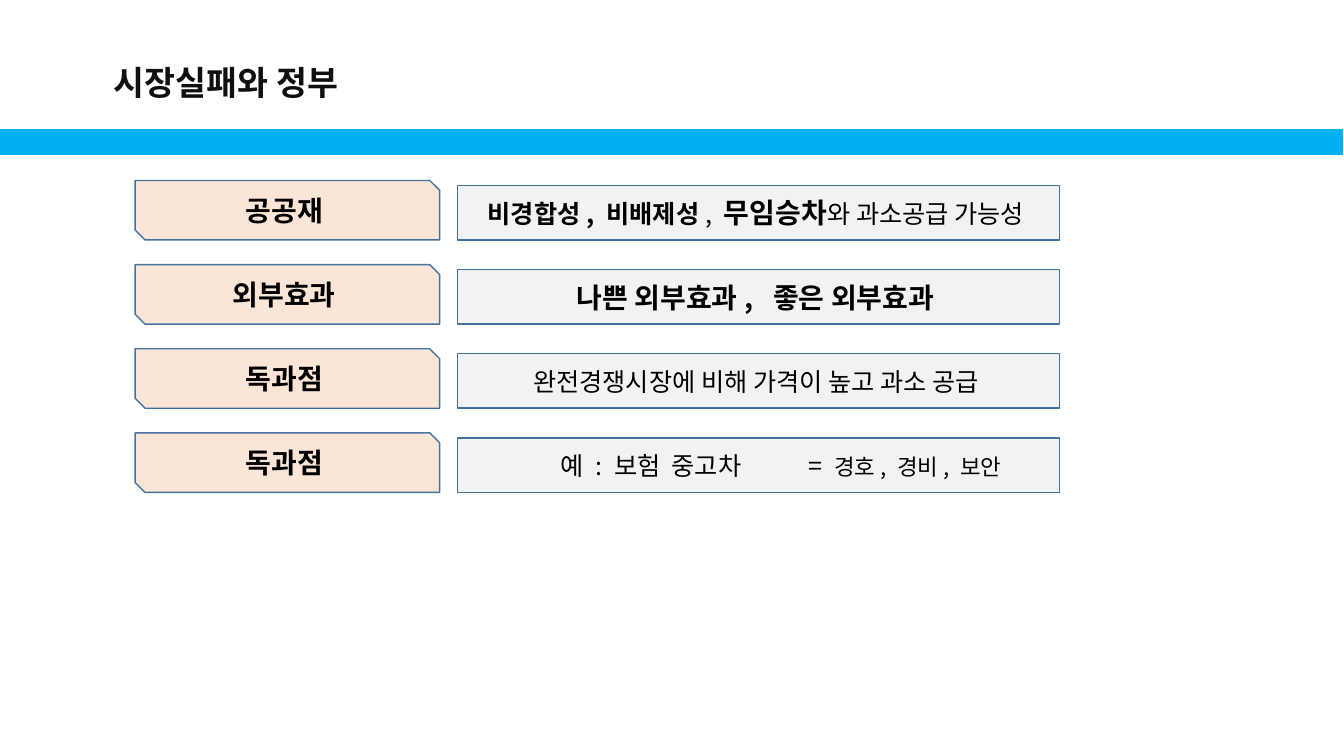
from lxml import etree
from pptx import Presentation
from pptx.dml.color import RGBColor
from pptx.enum.shapes import MSO_SHAPE as Shape
from pptx.enum.text import MSO_ANCHOR as Anchor, PP_ALIGN as Align
from pptx.oxml.ns import qn
from pptx.util import Inches, Pt

TITLE = "시장실패와 정부"
# Each row: label, then runs of (text, size, bold)
ROWS = [
    ("공공재 ", [("비경합성, 비배제성", 18, True), (", ", 18, False),
              ("무임승차", 20, True), ("와 과소공급 가능성 ", 18, False)]),
    ("외부효과 ", [("나쁜 외부효과,  좋은 외부효과 ", 20, True)]),
    ("독과점 ", [("완전경쟁시장에 비해 가격이 높고 과소 공급 ", 18, False)]),
    ("독과점 ", [("예 : 보험  중고차\t= ", 18, False), ("경호, 경비, 보안", 16, False)]),
]

SKY = RGBColor(0x00, 0xB0, 0xF0)
PEACH = RGBColor(0xFB, 0xE5, 0xD6)
GRAY = RGBColor(0xF2, 0xF2, 0xF2)
STEEL = RGBColor(0x43, 0x73, 0x9E)
WHITE = RGBColor(0xFF, 0xFF, 0xFF)
BLACK = RGBColor(0x00, 0x00, 0x00)
INK = RGBColor(0x0F, 0x0F, 0x0F)

KOREAN_FONT = "Noto Sans CJK KR"
TITLE_FONT = "Open Sans"

FIRST_TOP, ROW_PITCH = 1.79, 0.835
LABEL_LEFT, LABEL_WIDTH, LABEL_HEIGHT = 1.34, 3.02, 0.59
DETAIL_LEFT, DETAIL_WIDTH, DETAIL_HEIGHT = 4.54, 5.97, 0.54
EXAMPLE_INSET, EXAMPLE_TAB = 1.02, 2.46


def add_run(paragraph, text, size, bold, color=BLACK, latin=KOREAN_FONT):
    run = paragraph.add_run()
    run.text = text
    formats = {"name": latin, "size": Pt(size), "bold": bold}
    for name, value in formats.items():
        setattr(run.font, name, value)
    run.font.color.rgb = color
    east_asian = etree.SubElement(run.font._element, qn("a:ea"))
    east_asian.set("typeface", KOREAN_FONT)


def add_box(slide, kind, box, fill, line, line_width=1):
    shape = slide.shapes.add_shape(kind, *map(Inches, box))
    shape.shadow.inherit = False
    shape.fill.solid()
    shape.fill.fore_color.rgb = fill
    shape.line.color.rgb = line
    shape.line.width = Pt(line_width)
    return shape


def write_runs(shape, runs):
    frame = shape.text_frame
    frame.word_wrap = True
    frame.vertical_anchor = Anchor.MIDDLE
    paragraph = frame.paragraphs[0]
    paragraph.alignment = Align.CENTER
    for text, size, bold in runs:
        add_run(paragraph, text, size, bold)
    if any("\t" in text for text, _, _ in runs):
        align_at_tab(frame, paragraph)


def align_at_tab(frame, paragraph):
    """Left-align the two parts of a line at the inset and at a tab stop."""
    paragraph.alignment = Align.LEFT
    frame.margin_left = Inches(EXAMPLE_INSET)
    properties = paragraph._p.get_or_add_pPr()
    stops = etree.SubElement(properties, qn("a:tabLst"))
    etree.SubElement(stops, qn("a:tab"), pos=str(Inches(EXAMPLE_TAB)), algn="l")


def add_title(slide):
    title = slide.shapes.title
    title.left, title.top, title.width, title.height = map(Inches, (1.03, 0.56, 2.75, 0.5))
    frame = title.text_frame
    frame.word_wrap = True
    frame.vertical_anchor = Anchor.TOP
    paragraph = frame.paragraphs[0]
    paragraph.alignment = Align.LEFT
    add_run(paragraph, TITLE, 24, True, INK, TITLE_FONT)


def main():
    presentation = Presentation()
    presentation.slide_width = Inches(13.33)
    presentation.slide_height = Inches(7.5)
    slide = presentation.slides.add_slide(presentation.slide_layouts[5])

    add_title(slide)
    add_box(slide, Shape.RECTANGLE, (0, 1.28, 13.33, 0.26), SKY, WHITE, 0.75)

    for index, (label, details) in enumerate(ROWS):
        top = FIRST_TOP + index * ROW_PITCH
        detail_top = top + LABEL_HEIGHT - DETAIL_HEIGHT
        label_box = add_box(slide, Shape.SNIP_2_DIAG_RECTANGLE,
                            (LABEL_LEFT, top, LABEL_WIDTH, LABEL_HEIGHT), PEACH, STEEL)
        write_runs(label_box, [(label, 20, True)])
        detail_box = add_box(slide, Shape.RECTANGLE,
                             (DETAIL_LEFT, detail_top, DETAIL_WIDTH, DETAIL_HEIGHT), GRAY, STEEL)
        write_runs(detail_box, details)

    presentation.save("out.pptx")


if __name__ == "__main__":
    main()
